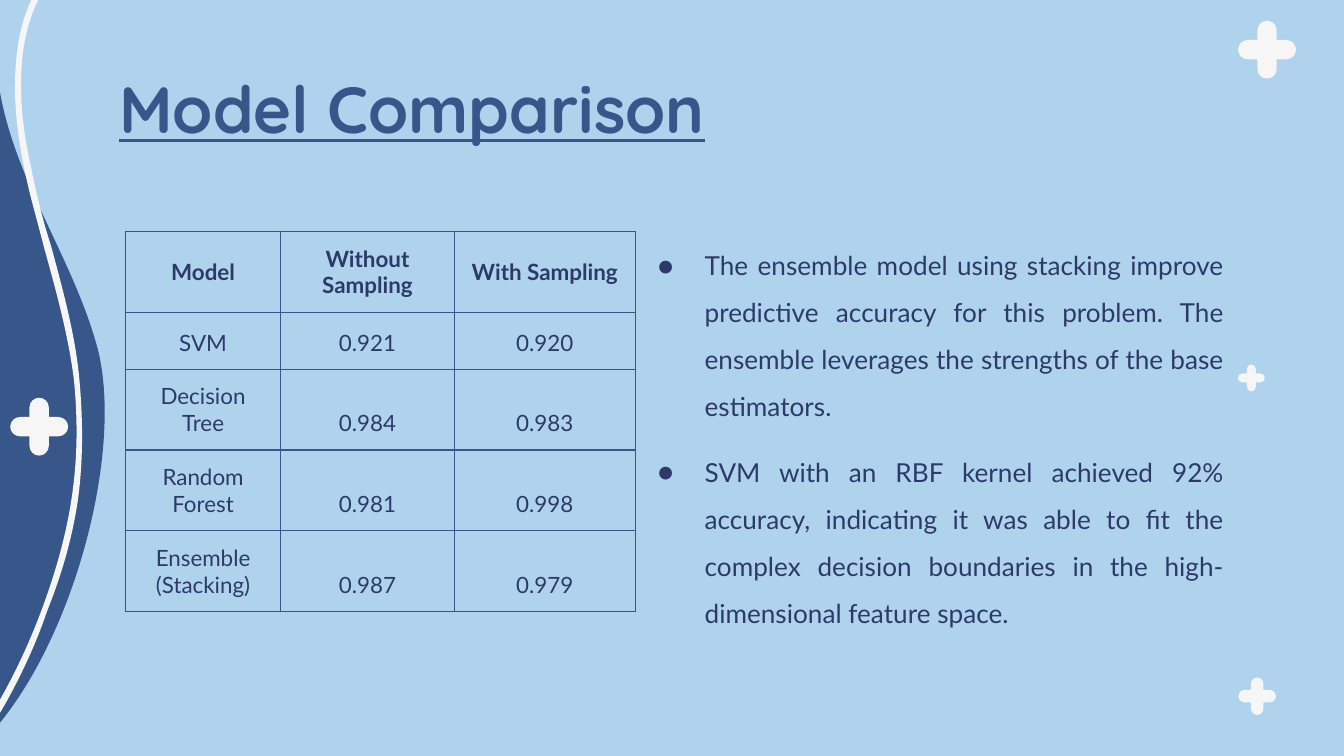
from pptx import Presentation
from pptx.dml.color import RGBColor
from pptx.enum.text import MSO_ANCHOR as ANCHOR, PP_ALIGN as ALIGN
from pptx.oxml import parse_xml
from pptx.oxml.ns import nsdecls, qn
from pptx.util import Pt

SKY, BLUE, NAVY, WHITE = "AFD3ED", "37568A", "2D3A69", "F6F6F6"
HEAD_FONT, BODY_FONT = "Quicksand", "Lato"
INSET = 7.2

WAVE = [
    (52.6, 187.9),
    (41, 143.3, 13, 104.4, 2.2, 59.8),
    (-12.2, 0.7, 5, -60.5, 23, -118.8),
    (-151.2, -118.8),
    (-151.2, 401),
    (-13, 401),
    (35.3, 357.1, 67, 247, 52.6, 187.9),
]
RIBBON = [
    (25.9, -13.7),
    (15.8, -2.2, 10.1, 13.7, 8.6, 33.8),
    (7.2, 49.7, 8.6, 69.1, 13, 90),
    (15.8, 104.4, 20.2, 118.8, 23.8, 133.2),
    (30.2, 156.2, 36.7, 180, 39.6, 203),
    (43.9, 246.2, 38.9, 282.2, 22.3, 326.9),
    (8.6, 363.6, -10.8, 396.7, -29.5, 415.4),
    (-27.4, 417.6),
    (-26.6, 417.6, -26.6, 416.9, -25.9, 416.9),
    (-15.8, 406.1, -5.8, 392.4, 3.6, 375.8),
    (11.5, 361.4, 19.4, 344.9, 25.2, 327.6),
    (33.8, 306, 38.9, 287.3, 41.8, 267.8),
    (44.6, 247, 44.6, 225.4, 42.5, 202.3),
    (40.3, 179.3, 33.8, 155.5, 27.4, 131.8),
    (23, 118.1, 19.4, 103.7, 16.6, 89.3),
    (9.4, 57.6, 6.5, 14.4, 28.1, -11.5),
]
PLUSES = [(21, 228.6, 31), (673.5, 373, 20), (678.8, 26.6, 31), (670.4, 202.5, 14.4)]
ROWS = [
    ("Model", "Without Sampling", "With Sampling"),
    ("SVM", "0.921", "0.920"),
    ("Decision Tree", "0.984", "0.983"),
    ("Random Forest", "0.981", "0.998"),
    ("Ensemble (Stacking)", "0.987", "0.979"),
]
COL_WIDTHS = [83.2, 93, 97]
ROW_HEIGHTS = [30.6, 30.6, 33.1, 34.5, 30.6]
FINDINGS = [
    "The ensemble model using stacking improve predictive accuracy for this problem. "
    "The ensemble leverages the strengths of the base estimators.",
    "SVM with an RBF kernel achieved 92% accuracy, indicating it was able to fit the "
    "complex decision boundaries in the high-dimensional feature space.",
]


def rgb(color):
    return RGBColor.from_string(color)


def pairs(seg):
    return list(zip(seg[::2], seg[1::2]))


class Deck:
    """Holds the slide style and draws each kind of element on the current slide."""

    def __init__(self, width, height):
        self.prs = Presentation()
        self.prs.slide_width, self.prs.slide_height = Pt(width), Pt(height)
        self.s = self.prs.slides.add_slide(self.prs.slide_layouts[6])
        self.fill(self.s.background, SKY)

    def fill(self, target, color):
        target.fill.solid()
        target.fill.fore_color.rgb = rgb(color)

    def outline(self, segs, color):
        pts = [(Pt(x), Pt(y)) for seg in segs for x, y in pairs(seg)]
        builder = self.s.shapes.build_freeform(*pts[0], scale=1.0)
        builder.add_line_segments(pts[1:], close=True)
        sp = builder.convert_to_shape()
        lines = iter(list(sp._element.iter(qn("a:lnTo"))))
        for seg in segs[1:]:
            first = next(lines)
            if len(seg) == 6:
                curve = parse_xml(f'<a:cubicBezTo {nsdecls("a")}/>')
                first.addprevious(curve)
                for line in (first, next(lines), next(lines)):
                    curve.append(line[0])
                    line.getparent().remove(line)
        sp.shadow.inherit = False
        self.fill(sp, color)
        sp.line.fill.background()

    def plus(self, cx, cy, size):
        h, r = size / 2, size / 6
        k = 0.55 * r
        arm = [
            (-k, -h, -r, r - h - k, -r, r - h),
            (-r, -r),
            (r - h, -r),
            (r - h - k, -r, -h, -k, -h, 0),
        ]
        segs = [(cx, cy - h)]
        for _ in range(4):
            for seg in arm:
                segs.append(tuple(v for x, y in pairs(seg) for v in (cx + x, cy + y)))
            arm = [tuple(v for x, y in pairs(seg) for v in (y, -x)) for seg in arm]
        self.outline(segs, WHITE)

    def run(self, p, text, size, font=BODY_FONT, color=NAVY, bold=False, underline=False):
        r = p.add_run()
        r.text = text
        f = r.font
        f.size, f.name, f.bold, f.underline = Pt(size), font, bold, underline
        f.color.rgb = rgb(color)

    def margins(self, target):
        target.margin_left = target.margin_right = Pt(INSET)
        target.margin_top = target.margin_bottom = Pt(INSET)

    def box(self, x, y, w, h, anchor=ANCHOR.TOP):
        tf = self.s.shapes.add_textbox(Pt(x), Pt(y), Pt(w), Pt(h)).text_frame
        tf.word_wrap, tf.vertical_anchor = True, anchor
        self.margins(tf)
        return tf

    def title(self, text, *frame):
        tf = self.box(*frame, anchor=ANCHOR.MIDDLE)
        self.run(tf.paragraphs[0], text, 35, HEAD_FONT, BLUE, bold=True, underline=True)

    def bullets(self, items, *frame):
        tf = self.box(*frame)
        for i, text in enumerate(items):
            p = tf.add_paragraph() if i else tf.paragraphs[0]
            p.alignment, p.line_spacing = ALIGN.JUSTIFY, 1.5
            if i:
                p.space_before = p.space_after = Pt(10)
            pPr = p._p.get_or_add_pPr()
            pPr.set("marL", str(Pt(36)))
            pPr.set("indent", str(-Pt(25)))
            for tag in (f'buClr {nsdecls("a")}><a:srgbClr val="{NAVY}"/></a:buClr>',
                        f'buSzPts {nsdecls("a")} val="1400"/>',
                        f'buFont {nsdecls("a")} typeface="{BODY_FONT}"/>',
                        f'buChar {nsdecls("a")} char="●"/>'):
                pPr.append(parse_xml("<a:" + tag))
            self.run(p, text, 14)

    def borders(self, cell):
        tcPr = cell._tc.get_or_add_tcPr()
        for i, side in enumerate("LRTB"):
            tcPr.insert(i, parse_xml(
                f'<a:ln{side} {nsdecls("a")} w="{Pt(0.75)}"><a:solidFill>'
                f'<a:srgbClr val="{BLUE}"/></a:solidFill></a:ln{side}>'))

    def table(self, rows, widths, heights, x, y):
        tbl = self.s.shapes.add_table(len(rows), len(widths), Pt(x), Pt(y),
                                      Pt(sum(widths)), Pt(sum(heights))).table
        tbl.first_row = tbl.horz_banding = False
        for col, w in zip(tbl.columns, widths):
            col.width = Pt(w)
        for i, (row, h) in enumerate(zip(rows, heights)):
            tbl.rows[i].height = Pt(h)
            for j, text in enumerate(row):
                cell = tbl.cell(i, j)
                cell.fill.background()
                self.margins(cell)
                cell.vertical_anchor = ANCHOR.BOTTOM if i else ANCHOR.MIDDLE
                p = cell.text_frame.paragraphs[0]
                p.alignment = ALIGN.CENTER
                self.run(p, text, 12, bold=i == 0)
                self.borders(cell)


def main():
    deck = Deck(720, 405)
    deck.outline(WAVE, BLUE)
    deck.plus(*PLUSES[0])
    deck.outline(RIBBON, WHITE)
    for plus in PLUSES[1:]:
        deck.plus(*plus)
    deck.title("Model Comparison", 56.9, 34.9, 607, 45.4)
    deck.table(ROWS, COL_WIDTHS, ROW_HEIGHTS, 67.2, 124)
    deck.bullets(FINDINGS, 334.4, 118, 328.4, 219.6)
    deck.prs.save("out.pptx")


if __name__ == "__main__":
    main()
